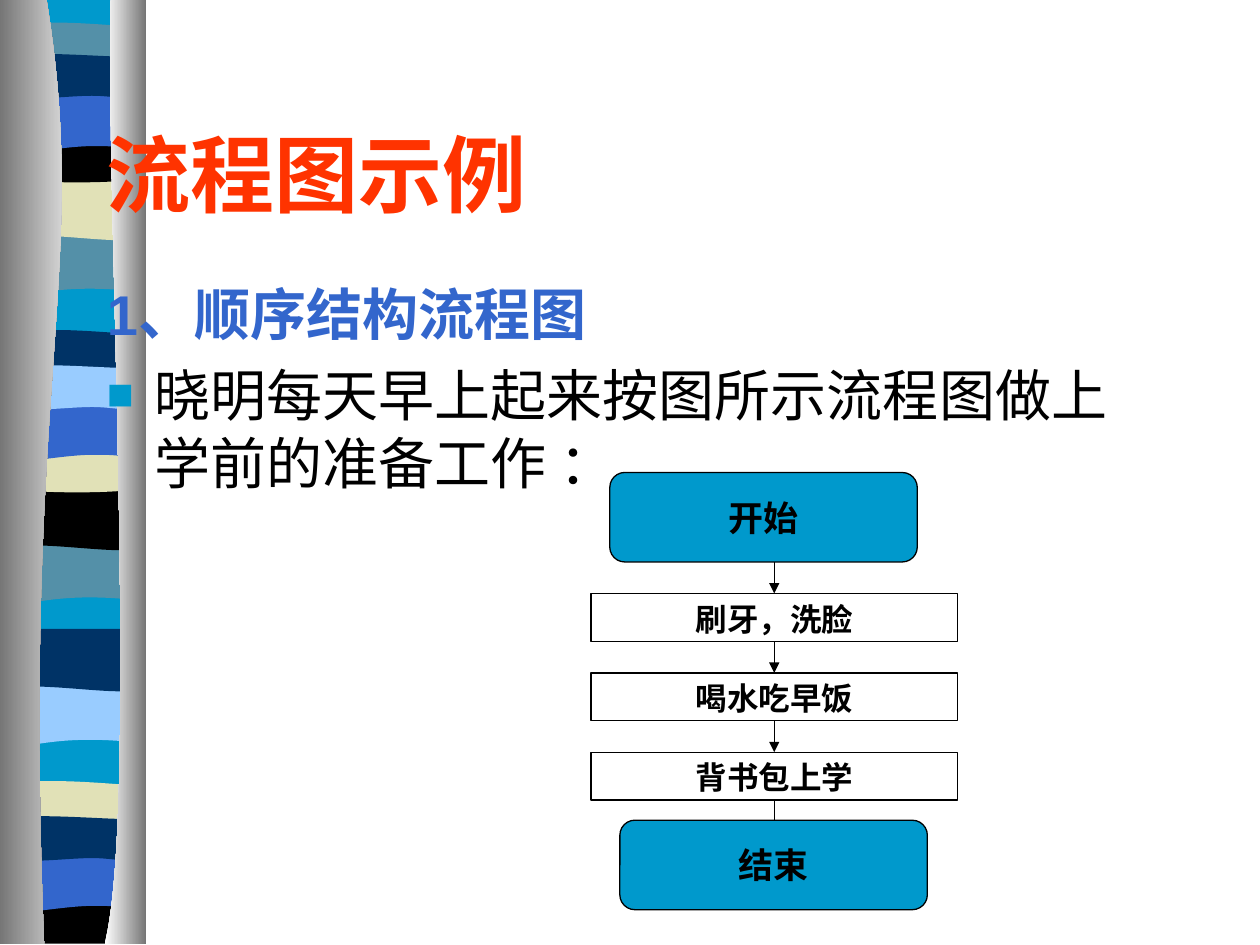
from lxml import etree
from pptx import Presentation
from pptx.dml.color import RGBColor
from pptx.enum.shapes import MSO_CONNECTOR, MSO_SHAPE
from pptx.enum.text import MSO_ANCHOR, PP_ALIGN
from pptx.oxml.ns import qn
from pptx.util import Inches, Pt

CENTER, JUSTIFY, LEFT = PP_ALIGN.CENTER, PP_ALIGN.JUSTIFY, PP_ALIGN.LEFT
MIDDLE, TOP = MSO_ANCHOR.MIDDLE, MSO_ANCHOR.TOP
RECT, ROUNDED = MSO_SHAPE.RECTANGLE, MSO_SHAPE.ROUNDED_RECTANGLE
STRAIGHT = MSO_CONNECTOR.STRAIGHT
SIDE_TOP, SIDE_BOTTOM = 0, 2

COLORS = {
    "cyan": "0099CC", "teal": "5490A8", "sand": "E1E1B7", "black": "000000",
    "blue": "3366CC", "navy": "003366", "sky": "99CCFF", "white": "FFFFFF",
    "grey": "767676", "red": "FF3300",
}
SERIF, SANS = "Times New Roman", "Arial"

# Outlines run from the first point; a pair is a line, a six is a Bezier curve.
WAVES = {
    "dip": [(1.15, 0), (1.15, .47), (.39, .38, .24, .54, .05, .47), (.05, 0)],
    "swell": [(1.15, 0), (1.15, .47), (.98, .55, .4, .42, .05, .47), (.05, 0)],
    "cap": [(1.15, 0), (1.15, .25), (.97, .29, .24, .29, .05, .25), (.05, 0),
            (.12, -.05, .29, -.04, .47, -.04), (.66, -.04, 1.01, -.01, 1.15, 0)],
    "hollow": [(1.15, 0), (1.15, .33), (.98, .38, .25, .38, .05, .33), (.05, 0),
               (.73, .05, .92, 0, 1.15, 0)],
    "arch": [(1.15, 0), (1.15, .47), (.98, .41, .91, .41, .73, .41),
             (.54, .41, .22, .47, .05, .47), (.05, 0)],
    "ripple": [(1.15, 0), (1.15, .31), (1.08, .36, .91, .31, .73, .31),
               (.54, .31, .17, .36, .05, .31), (.05, 0),
               (.21, -.05, .8, 0, .98, 0), (1.16, 0, 1.11, 0, 1.15, 0)],
    "base": [(1.15, 0), (1.15, .37), (.05, .37), (.05, 0), (.73, .05, .92, 0, 1.15, 0)],
}
BANDS = [
    ("dip", 1.85, "teal"), ("swell", 1.41, "sand"), ("cap", .22, "teal"),
    ("hollow", 1.08, "black"), ("arch", .75, "blue"), ("ripple", .45, "navy"),
    ("dip", 4.3, "teal"), ("swell", 3.87, "black"), ("cap", 2.66, "navy"),
    ("hollow", 3.54, "sand"), ("arch", 3.2, "blue"), ("ripple", 2.92, "sky"),
    ("dip", 5.43, "sky"), ("swell", 4.99, "navy"), ("cap", 6.24, "sand"),
    ("base", 7.12, "black"), ("arch", 6.78, "blue"), ("ripple", 6.5, "navy"),
]
BACKING = [(1.15, 0), (1.15, 7.47), (.06, 7.47), (.06, 0)]
LEFT_SHEET = [(.37, 0), (.72, 2.17, .17, 2.96, .35, 7.49), (0, 7.49), (0, 0)]
RIGHT_SHEET = [(.88, 0), (.83, 1.25, 1.11, 6.47, .83, 7.49), (1.16, 7.49), (1.16, 0)]

STEPS = ["刷牙，洗脸", "喝水吃早饭", "背书包上学"]
STEP_LEFT, STEP_TOP, STEP_WIDTH, STEP_HEIGHT, STEP_PITCH = 4.69, 4.71, 2.91, .38, .63
AXIS = STEP_LEFT + STEP_WIDTH / 2


def rgb(name):
    return RGBColor.from_string(COLORS[name])


def bend_curves(shape, segments):
    """Merge the three points of each curve into one Bezier segment."""
    lines = iter(list(shape._element.iter(qn("a:lnTo"))))
    for segment in segments:
        first = next(lines)
        if len(segment) == 2:
            continue
        curve = etree.Element(qn("a:cubicBezTo"))
        first.addprevious(curve)
        for line in (first, next(lines), next(lines)):
            curve.append(line[0])
            line.getparent().remove(line)


def add_outline(shapes, outline, *colors, top=0):
    """Draw a closed outline in one colour, or two for a left-to-right gradient."""
    points = [(Inches(x), Inches(y + top))
              for part in outline for x, y in zip(part[::2], part[1::2])]
    builder = shapes.build_freeform(*points[0])
    builder.add_line_segments(points[1:], close=True)
    shape = builder.convert_to_shape()
    bend_curves(shape, outline[1:])
    shape.shadow.inherit = False
    shape.line.fill.background()
    if len(colors) == 1:
        shape.fill.solid()
        shape.fill.fore_color.rgb = rgb(colors[0])
    else:
        shape.fill.gradient()
        shape.fill.gradient_angle = 0
        for stop, color in zip(shape.fill.gradient_stops, colors):
            stop.color.rgb = rgb(color)


def add_bullet(paragraph, color):
    properties = paragraph._p.get_or_add_pPr()
    bullet_color = etree.SubElement(properties, qn("a:buClr"))
    etree.SubElement(bullet_color, qn("a:srgbClr"), val=COLORS[color])
    etree.SubElement(properties, qn("a:buSzPct"), val="80000")
    etree.SubElement(properties, qn("a:buFont"), typeface=SANS)
    etree.SubElement(properties, qn("a:buChar"), char="■")


def write(paragraph, text, *, size, font=SERIF, color="black", bold=True,
          align=LEFT, hanging=0, before=0, bullet=None):
    if before:
        paragraph.space_before = Pt(before)
    if bullet:
        add_bullet(paragraph, bullet)
    if hanging:
        properties = paragraph._p.get_or_add_pPr()
        properties.set("marL", str(Inches(hanging)))
        properties.set("indent", str(-Inches(hanging)))
    paragraph.alignment = align
    run = paragraph.add_run()
    run.text = text
    run.font.name = font
    run.font.size = Pt(size)
    run.font.bold = bold
    run.font.color.rgb = rgb(color)


def add_text_frame(shapes, left, top, width, height, anchor=TOP):
    box = shapes.add_textbox(Inches(left), Inches(top), Inches(width), Inches(height))
    frame = box.text_frame
    frame.word_wrap = True
    frame.vertical_anchor = anchor
    return frame


def add_node(shapes, kind, text, left, top, width, height, *, fill, size, anchor, wrap):
    node = shapes.add_shape(kind, Inches(left), Inches(top), Inches(width), Inches(height))
    node.shadow.inherit = False
    node.fill.solid()
    node.fill.fore_color.rgb = rgb(fill)
    node.line.color.rgb = rgb("black")
    node.line.width = Pt(.75)
    node.text_frame.word_wrap = wrap
    node.text_frame.vertical_anchor = anchor
    write(node.text_frame.paragraphs[0], text, size=size, align=CENTER)
    return node


def add_terminal(shapes, text, left, top):
    add_node(shapes, ROUNDED, text, left, top, 2.44, .71,
             fill="cyan", size=20, anchor=MIDDLE, wrap=False)


def add_arrow(shapes, top, bottom, source=None, target=None):
    arrow = shapes.add_connector(STRAIGHT, Inches(AXIS), Inches(top),
                                 Inches(AXIS), Inches(bottom))
    if source is not None:
        arrow.begin_connect(source, SIDE_BOTTOM)
    if target is not None:
        arrow.end_connect(target, SIDE_TOP)
    arrow.line.color.rgb = rgb("black")
    arrow.line.width = Pt(.75)
    etree.SubElement(arrow.line._get_or_add_ln(), qn("a:tailEnd"), type="triangle")
    etree.SubElement(arrow._element.spPr, qn("a:effectLst"))


def add_ribbon(shapes):
    add_outline(shapes, BACKING, "cyan")
    for wave, top, color in BANDS:
        add_outline(shapes, WAVES[wave], color, top=top)
    add_outline(shapes, LEFT_SHEET, "grey", "white")
    add_outline(shapes, RIGHT_SHEET, "white", "grey")


def add_steps(shapes):
    previous, previous_bottom = None, 4.46
    for i, step in enumerate(STEPS):
        top = STEP_TOP + i * STEP_PITCH
        node = add_node(shapes, RECT, step, STEP_LEFT, top, STEP_WIDTH, STEP_HEIGHT,
                        fill="white", size=18, anchor=TOP, wrap=True)
        add_arrow(shapes, previous_bottom, top, previous, node)
        previous, previous_bottom = node, top + STEP_HEIGHT
    add_arrow(shapes, previous_bottom, 6.61, previous)


def main():
    prs = Presentation()
    prs.slide_width, prs.slide_height = Inches(10), Inches(7.5)
    shapes = prs.slides.add_slide(prs.slide_layouts[6]).shapes
    add_ribbon(shapes.add_group_shape().shapes)
    title = add_text_frame(shapes, .75, .75, 8.5, 1.25, MIDDLE)
    write(title.paragraphs[0], "流程图示例", size=48, color="red")
    body = add_text_frame(shapes, .75, 2.17, 8.5, 4.42)
    write(body.paragraphs[0], "1、顺序结构流程图", size=32, font=SANS, color="blue",
          align=JUSTIFY, hanging=.38)
    write(body.add_paragraph(), "晓明每天早上起来按图所示流程图做上学前的准备工作 ：",
          size=32, font=SANS, bold=False, hanging=.38, before=8, bullet="cyan")
    add_steps(shapes.add_group_shape().shapes)
    add_terminal(shapes, "结束", 4.92, 6.51)
    add_terminal(shapes, "开始", 4.84, 3.75)
    prs.save("out.pptx")


if __name__ == "__main__":
    main()
